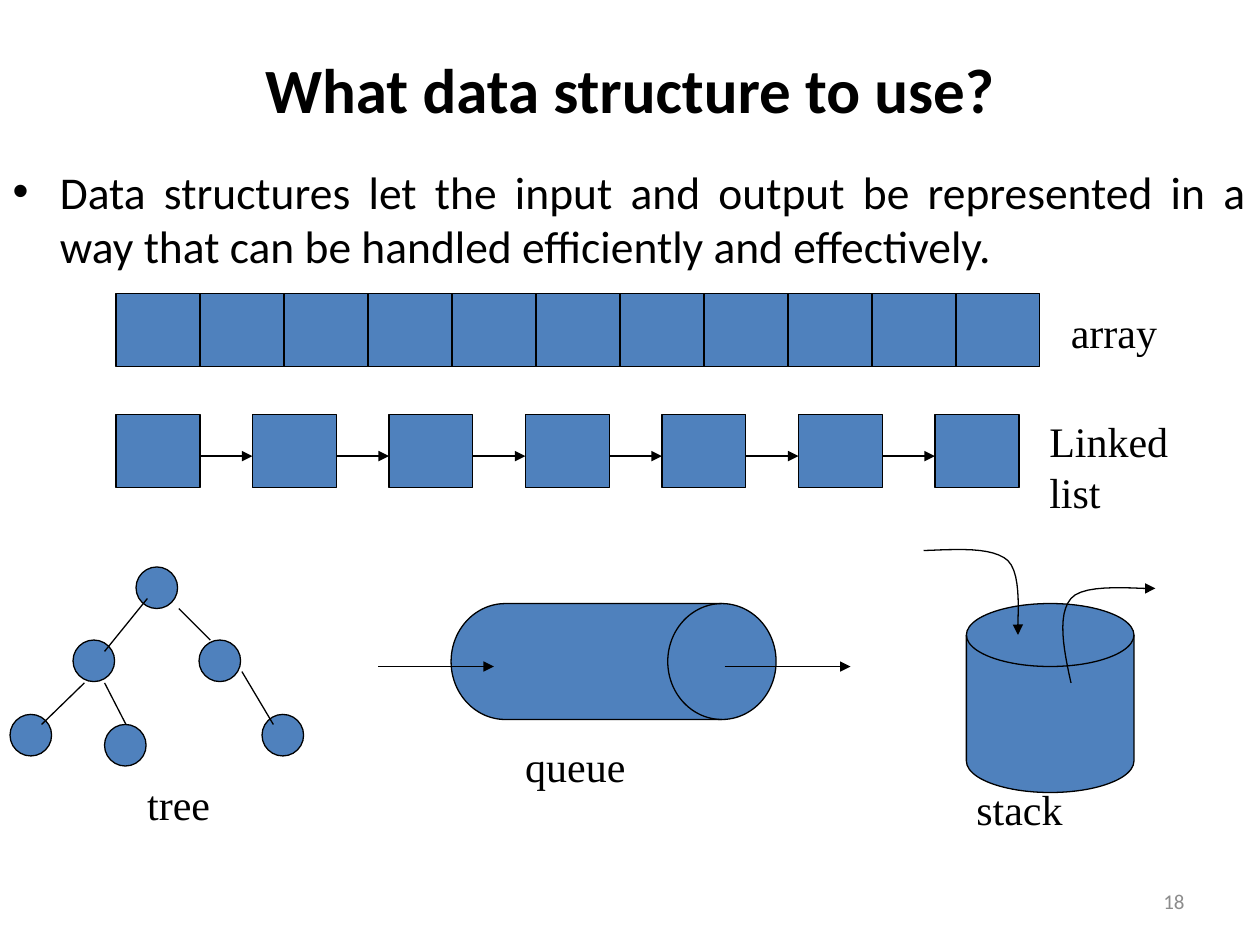
from lxml import etree
from pptx import Presentation
from pptx.dml.color import RGBColor
from pptx.enum.shapes import MSO_CONNECTOR as LINK, MSO_SHAPE as KIND
from pptx.enum.text import MSO_ANCHOR as ANCHOR, MSO_AUTO_SIZE as FIT, PP_ALIGN as ALIGN
from pptx.oxml.ns import qn
from pptx.util import Inches, Pt

BLACK, BLUE, GRAY = "000000", "4F81BD", "8C8C8C"
SANS, SERIF = "Calibri", "Times New Roman"

TITLE = "What data structure to use?"
BODY = ("Data structures let the input and output be represented in a way "
        "that can be handled efficiently and effectively.")
LABELS = [
    ("array", 8.4, 2.38, 0.89),
    ("Linked list", 8.23, 3.25, 1.63),
    ("tree", 1.07, 6.13, 0.7),
    ("queue", 4.07, 5.83, 1),
    ("stack", 7.65, 6.17, 0.89),
]
LEFT, CELL_W, CELL_H = 0.92, 2 / 3, 0.58
ARRAY_TOP, ARRAY_LEN = 2.33, 11
LIST_TOP, LIST_LEN, LIST_STEP = 3.29, 7, 13 / 12
LINK_Y = 3.62
NODE = 0.33
NODES = [(1.08, 4.5), (0.58, 5.08), (0.08, 5.67),
         (1.58, 5.08), (2.08, 5.67), (0.83, 5.75)]
EDGES = [
    (1.17, 4.75, 0.83, 5.17), (0.67, 5.42, 0.33, 5.75),
    (1.42, 4.83, 1.67, 5.08), (1.92, 5.33, 2.17, 5.75),
    (0.83, 5.42, 1, 5.75),
]
QUEUE = (3.58, 4.79, 2.58, 0.92)
FLOWS = [(3, 5.29, 3.92, 5.29), (5.75, 5.29, 6.75, 5.29)]
STACK = (7.67, 4.79, 1.33, 1.5)
# Each curve: a start, then two control points and an end per Bezier part
PUSH = [(7.33, 4.37), (7.6, 4.36), (7.88, 4.34), (8, 4.45),
        (8.12, 4.57), (8.07, 4.94), (8.08, 5.04)]
POP = [(8.5, 5.42), (8.44, 5.15), (8.39, 4.88), (8.5, 4.75),
       (8.61, 4.62), (9.06, 4.68), (9.17, 4.67)]
PARTS = 12

deck = Presentation()
deck.slide_width, deck.slide_height = Inches(10), Inches(7.5)
slide = deck.slides.add_slide(deck.slide_layouts[1])
shapes = slide.shapes


def color(hue):
    return RGBColor.from_string(hue)


def place(shape, *box):
    shape.left, shape.top, shape.width, shape.height = map(Inches, box)


def write(shape, text, size, face, hue=BLACK, bold=False, align=None,
          anchor=ANCHOR.TOP, wrap=True):
    frame = shape.text_frame
    frame.word_wrap = wrap
    frame.auto_size = FIT.NONE if wrap else FIT.SHAPE_TO_FIT_TEXT
    frame.vertical_anchor = anchor
    para = frame.paragraphs[0]
    para.space_before = Pt(0)
    if align is not None:
        para.alignment = align
    run = para.add_run()
    run.text = text
    font = run.font
    font.size, font.name, font.bold = Pt(size), face, bold
    font.color.rgb = color(hue)


def stroke(shape, arrow=False):
    shape.line.color.rgb = color(BLACK)
    shape.line.width = Pt(0.75)
    if arrow:
        etree.SubElement(shape.line._get_or_add_ln(), qn("a:tailEnd"),
                         type="triangle")


def solid(kind, *box):
    shape = shapes.add_shape(kind, *map(Inches, box))
    shape.shadow.inherit = False
    shape.fill.solid()
    shape.fill.fore_color.rgb = color(BLUE)
    stroke(shape)


def line(*ends, arrow=False):
    link = shapes.add_connector(LINK.STRAIGHT, *map(Inches, ends))
    stroke(link, arrow)
    etree.SubElement(link._element.spPr, qn("a:effectLst"))


def bezier(a, b, c, d, t):
    u = 1 - t
    return tuple(Inches(u**3 * p + 3 * u * u * t * q + 3 * u * t * t * r + t**3 * s)
                 for p, q, r, s in zip(a, b, c, d))


def curve(points):
    """Draw chained Bezier parts as one open outline with an arrowhead."""
    track = [bezier(*points[i:i + 4], n / PARTS)
             for i in range(0, len(points) - 1, 3)
             for n in range(1, PARTS + 1)]
    start = map(Inches, points[0])
    pen = shapes.build_freeform(*start)
    pen.add_line_segments(track, close=False)
    shape = pen.convert_to_shape()
    shape.shadow.inherit = False
    shape.fill.background()
    stroke(shape, arrow=True)


title, body = shapes.title, slide.placeholders[1]
place(title, 0.75, 0.08, 8.5, 1.25)
write(title, TITLE, 36, SANS, bold=True, align=ALIGN.CENTER, anchor=ANCHOR.MIDDLE)
place(body, 0, 1.25, 10, 4.95)
write(body, BODY, 26, SANS, align=ALIGN.JUSTIFY)

for i in range(ARRAY_LEN):
    solid(KIND.RECTANGLE, LEFT + i * CELL_W, ARRAY_TOP, CELL_W, CELL_H)

for i in range(LIST_LEN):
    x = LEFT + i * LIST_STEP
    solid(KIND.RECTANGLE, x, LIST_TOP, CELL_W, CELL_H)
    if i < LIST_LEN - 1:
        line(x + CELL_W, LINK_Y, x + LIST_STEP, LINK_Y, arrow=True)

for x, y in NODES:
    solid(KIND.OVAL, x, y, NODE, NODE)
for edge in EDGES:
    line(*edge)

solid(KIND.FLOWCHART_DIRECT_ACCESS_STORAGE, *QUEUE)
for flow in FLOWS:
    line(*flow, arrow=True)

solid(KIND.FLOWCHART_MAGNETIC_DISK, *STACK)
curve(PUSH)
curve(POP)

for text, x, y, w in LABELS:
    label = shapes.add_textbox(*map(Inches, (x, y, w, 0.5)))
    write(label, text, 24, SERIF, wrap=False)

number = shapes.add_textbox(*map(Inches, (7.17, 6.95, 2.33, 0.4)))
write(number, "18", 12, SANS, GRAY, align=ALIGN.RIGHT, anchor=ANCHOR.MIDDLE)

deck.save("out.pptx")
